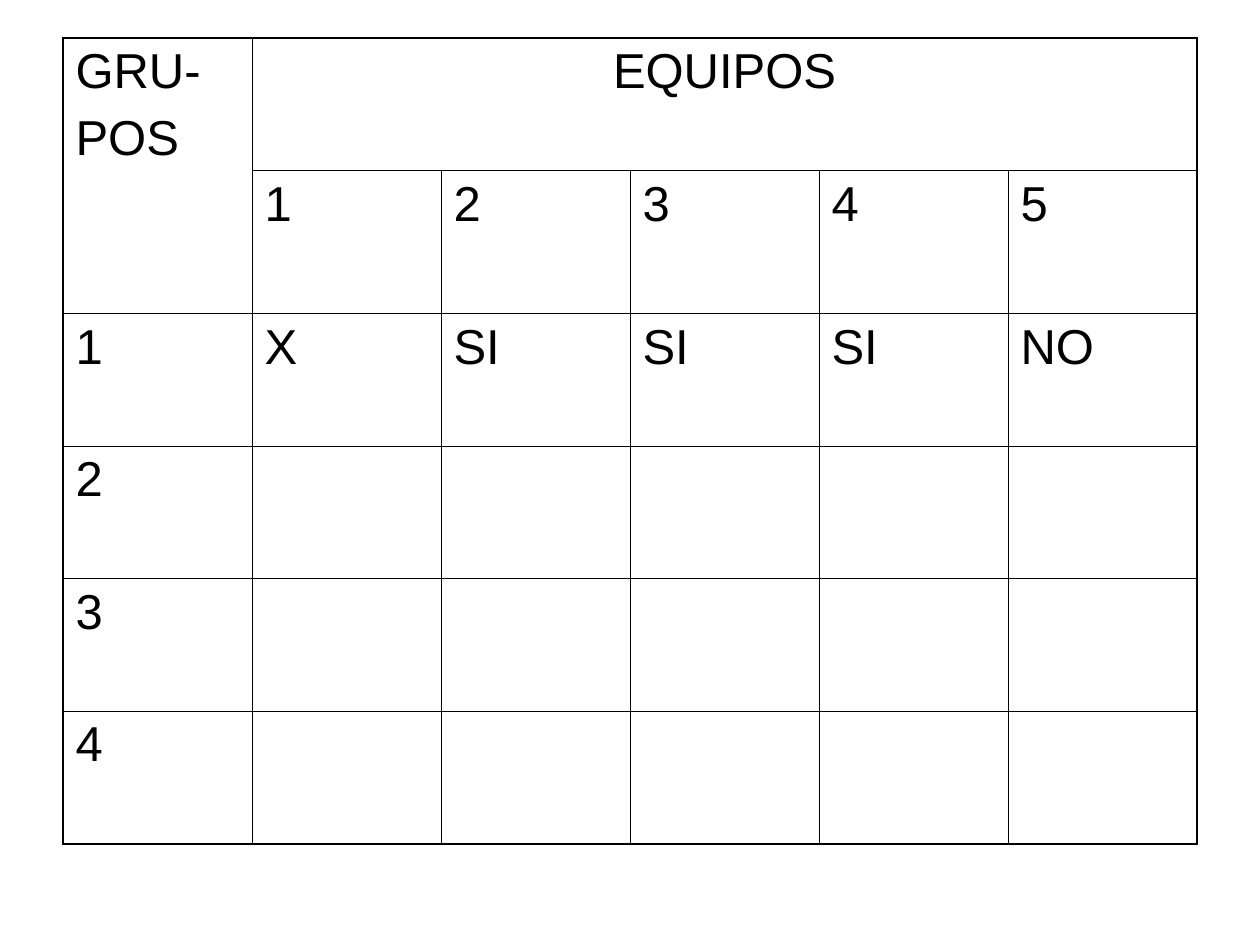
"""Build a slide with the table of teams (equipos) by groups (grupos)."""
from typing import NamedTuple

from lxml.etree import SubElement
from pptx import Presentation
from pptx.dml.color import RGBColor
from pptx.enum.text import PP_ALIGN as Align
from pptx.oxml.ns import qn
from pptx.table import Table, _Cell as Cell
from pptx.util import Pt

BLACK = "000000"
OUTER, INNER = 1.08, 0.45
COLUMN_WIDTH = 108
ROW_HEIGHTS = [75.8, 81.7, 75.8, 75.8, 75.8, 75.8]
TEAMS = ["1", "2", "3", "4", "5"]


class Group(NamedTuple):
    label: str
    answers: list[str]


GROUPS = [
    Group("1", ["X", "SI", "SI", "SI", "NO"]),
    Group("2", [""] * 5),
    Group("3", [""] * 5),
    Group("4", [""] * 5),
]


def color(hex_code: str) -> RGBColor:
    return RGBColor.from_string(hex_code)


def draw_borders(cell: Cell, widths: dict[str, float]) -> None:
    properties = cell._tc.get_or_add_tcPr()
    for side, width in widths.items():
        line = SubElement(properties, qn(f"a:ln{side}"), w=str(Pt(width)))
        fill = SubElement(line, qn("a:solidFill"))
        SubElement(fill, qn("a:srgbClr"), val=BLACK)


def write(cell: Cell, text: str, align: Align) -> None:
    cell.text_frame.text = text
    for index, paragraph in enumerate(cell.text_frame.paragraphs):
        paragraph.alignment = align
        paragraph.space_before = Pt(7 if index else 0)
        paragraph.font.size = Pt(28)
        for run in paragraph.runs:
            run.font.name = "Arial"
            run.font.size = Pt(28)
            run.font.color.rgb = color(BLACK)


def fill_cell(table: Table, row: int, column: int, text: str) -> None:
    cell = table.cell(row, column)
    if cell.is_spanned:
        return
    bottom, right = row + cell.span_height, column + cell.span_width
    draw_borders(cell, {
        "L": INNER if column else OUTER,
        "R": OUTER if right == len(table.columns) else INNER,
        "T": INNER if row else OUTER,
        "B": OUTER if bottom == len(table.rows) else INNER,
    })
    cell.fill.background()
    cell.margin_left = cell.margin_right = Pt(7.2)
    cell.margin_top = cell.margin_bottom = Pt(3.6)
    write(cell, text, Align.CENTER if cell.span_width > 1 else Align.LEFT)


def main() -> None:
    presentation = Presentation()
    presentation.slide_width, presentation.slide_height = Pt(720), Pt(540)
    slide = presentation.slides.add_slide(presentation.slide_layouts[6])

    contents = [["GRU-\nPOS", "EQUIPOS", "", "", "", ""], ["", *TEAMS]]
    contents += [[group.label, *group.answers] for group in GROUPS]
    column_count = len(TEAMS) + 1
    table = slide.shapes.add_table(
        len(contents), column_count, Pt(36), Pt(21.6),
        Pt(COLUMN_WIDTH * column_count), Pt(sum(ROW_HEIGHTS)),
    ).table
    table.first_row = table.horz_banding = False
    for column in table.columns:
        column.width = Pt(COLUMN_WIDTH)
    for row, height in zip(table.rows, ROW_HEIGHTS):
        row.height = Pt(height)

    table.cell(0, 0).merge(table.cell(1, 0))
    table.cell(0, 1).merge(table.cell(0, column_count - 1))
    for row, texts in enumerate(contents):
        for column, text in enumerate(texts):
            fill_cell(table, row, column, text)

    presentation.save("out.pptx")


if __name__ == "__main__":
    main()
